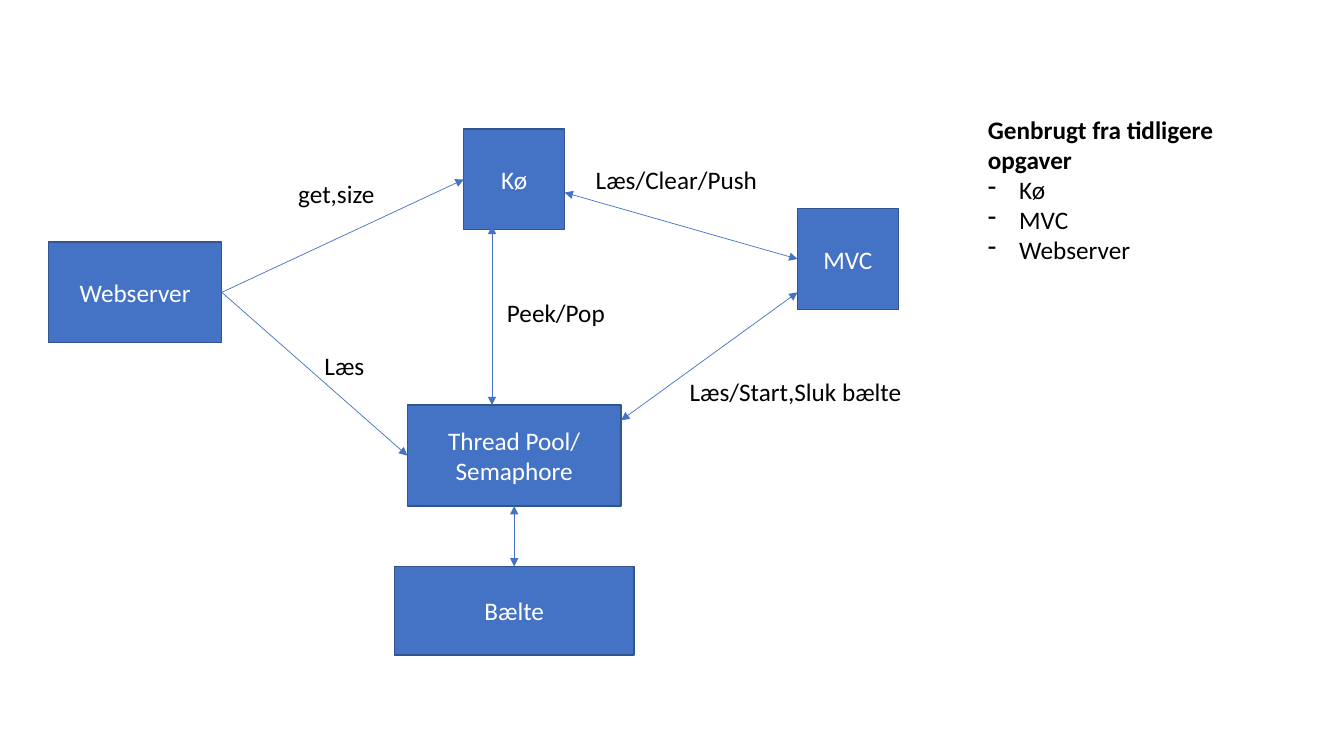
from dataclasses import dataclass
from lxml.etree import SubElement
from pptx import Presentation
from pptx.dml.color import RGBColor
from pptx.enum.shapes import MSO_CONNECTOR as Connector, MSO_SHAPE as Preset
from pptx.enum.text import MSO_ANCHOR as Anchor, MSO_AUTO_SIZE as AutoSize, PP_ALIGN as Align
from pptx.oxml.ns import qn
from pptx.util import Inches, Pt


@dataclass(frozen=True)
class Theme:
    font: str = "Calibri"
    size: Pt = Pt(18)
    box_fill: RGBColor = RGBColor(0x44, 0x72, 0xC4)
    box_line: RGBColor = RGBColor(0x32, 0x54, 0x91)
    box_text: RGBColor = RGBColor(0xFF, 0xFF, 0xFF)
    text: RGBColor = RGBColor(0, 0, 0)
    box_line_width: Pt = Pt(1)
    arrow_width: Pt = Pt(0.5)


theme = Theme()


def add_run(paragraph, text, color, bold=False):
    run = paragraph.add_run()
    run.text = text
    run.font.name = theme.font
    run.font.size = theme.size
    run.font.bold = bold
    run.font.color.rgb = color


def add_text_box(left, top, width, height, wrap):
    text_box = slide.shapes.add_textbox(Inches(left), Inches(top), Inches(width), Inches(height))
    frame = text_box.text_frame
    frame.word_wrap = wrap
    frame.auto_size = AutoSize.SHAPE_TO_FIT_TEXT
    return frame


presentation = Presentation()
presentation.slide_width = Inches(13.33)
presentation.slide_height = Inches(7.5)
slide = presentation.slides.add_slide(presentation.slide_layouts[6])

boxes = [
    (["MVC"], 7.91, 2.07, 1, 1),
    (["Thread Pool/", "Semaphore"], 4.04, 4.02, 2.12, 1),
    (["Kø"], 4.6, 1.28, 1, 1),
    (["Webserver"], 0.48, 2.4, 1.72, 1),
    (["Bælte"], 3.91, 5.62, 2.38, 0.88),
]
for lines, left, top, width, height in boxes:
    shape = slide.shapes.add_shape(
        Preset.RECTANGLE, Inches(left), Inches(top), Inches(width), Inches(height))
    shape.shadow.inherit = False
    shape.fill.solid()
    shape.fill.fore_color.rgb = theme.box_fill
    shape.line.color.rgb = theme.box_line
    shape.line.width = theme.box_line_width
    frame = shape.text_frame
    frame.vertical_anchor = Anchor.MIDDLE
    for index, line in enumerate(lines):
        paragraph = frame.add_paragraph() if index else frame.paragraphs[0]
        paragraph.alignment = Align.CENTER
        add_run(paragraph, line, theme.box_text)

both_ends = ("headEnd", "tailEnd")
end_only = ("tailEnd",)
arrows = [
    (7.91, 2.57, 5.6, 1.91, both_ends),
    (7.91, 2.9, 6.16, 4.17, both_ends),
    (4.88, 2.24, 4.88, 4.02, both_ends),
    (2.2, 2.9, 4.6, 1.78, end_only),
    (2.2, 2.9, 4.04, 4.52, end_only),
    (5.1, 5.02, 5.1, 5.62, both_ends),
]
for start_x, start_y, end_x, end_y, arrowheads in arrows:
    arrow = slide.shapes.add_connector(
        Connector.STRAIGHT, Inches(start_x), Inches(start_y), Inches(end_x), Inches(end_y))
    arrow.line.color.rgb = theme.box_fill
    arrow.line.width = theme.arrow_width
    line_xml = arrow.line._get_or_add_ln()
    for arrowhead in arrowheads:
        SubElement(line_xml, qn(f"a:{arrowhead}"), type="triangle")
    SubElement(arrow._element.spPr, qn("a:effectLst"))

labels = [
    ("Læs/Clear/Push", 5.81, 1.58, 1.88, True),
    ("Læs/Start,Sluk bælte", 6.74, 3.68, 2.32, False),
    ("Peek/Pop", 4.93, 2.9, 1.18, False),
    ("get,size", 2.86, 1.72, 0.97, False),
    ("Læs", 3.12, 3.43, 0.6, False),
]
for text, left, top, width, wrap in labels:
    frame = add_text_box(left, top, width, 0.4, wrap)
    add_run(frame.paragraphs[0], text, theme.text)

reuse_frame = add_text_box(9.7, 1.08, 3.32, 1.31, True)
add_run(reuse_frame.paragraphs[0], "Genbrugt fra tidligere opgaver", theme.text, bold=True)
for item in ["Kø", "MVC", "Webserver"]:
    paragraph = reuse_frame.add_paragraph()
    properties = paragraph._p.get_or_add_pPr()
    properties.set("marL", str(Inches(0.31)))
    properties.set("indent", str(Inches(-0.31)))
    SubElement(properties, qn("a:buFontTx"))
    SubElement(properties, qn("a:buChar"), char="-")
    add_run(paragraph, item, theme.text)

presentation.save("out.pptx")
